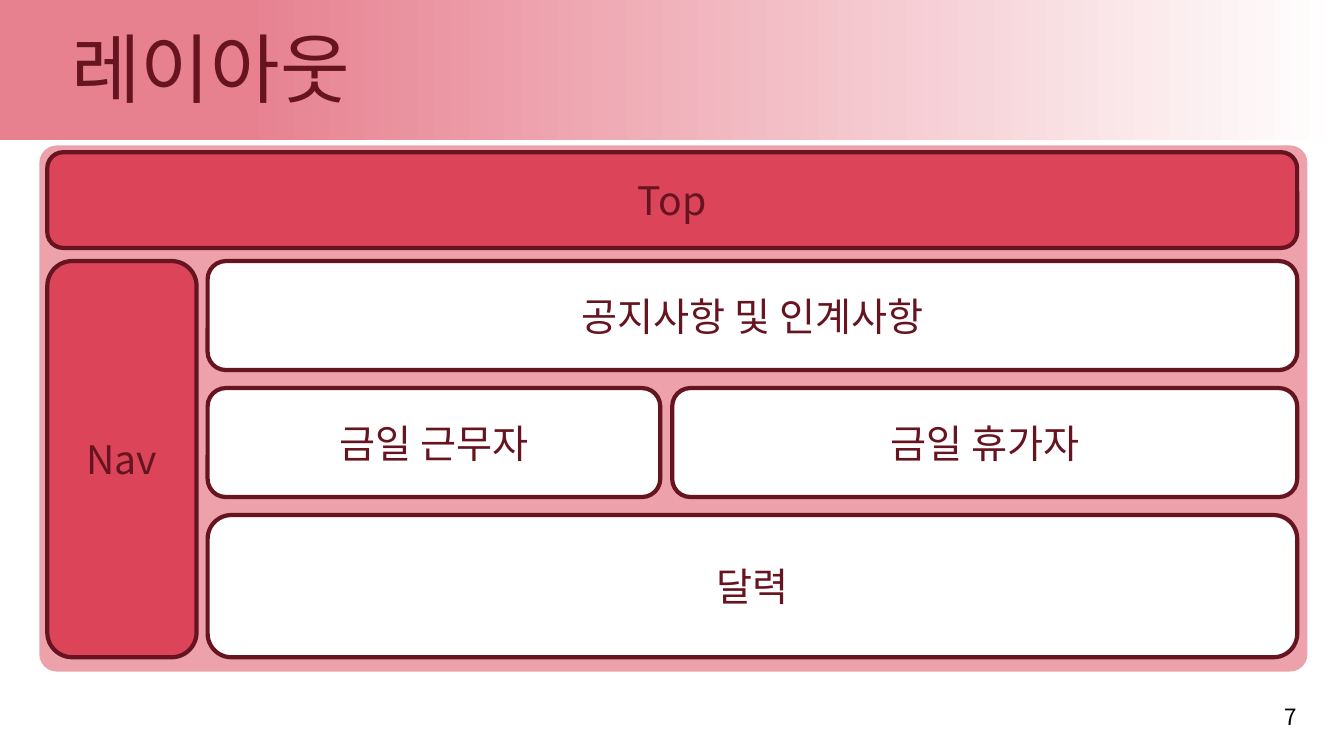
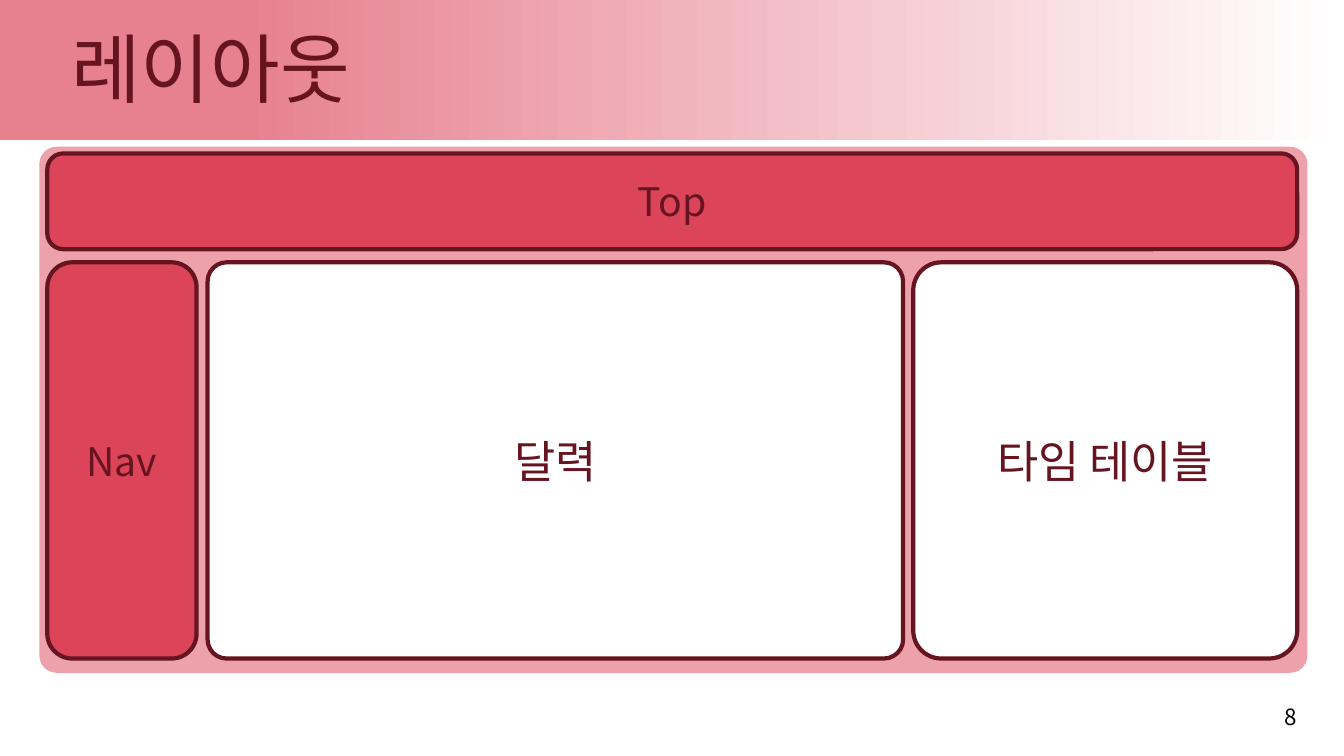
from dataclasses import dataclass

from lxml import etree
from pptx import Presentation
from pptx.dml.color import RGBColor
from pptx.enum.shapes import MSO_SHAPE
from pptx.enum.text import MSO_ANCHOR, MSO_AUTO_SIZE, PP_ALIGN
from pptx.oxml.ns import qn
from pptx.util import Pt

RECTANGLE = MSO_SHAPE.RECTANGLE
ROUNDED = MSO_SHAPE.ROUNDED_RECTANGLE
LEFT, CENTER, RIGHT = PP_ALIGN.LEFT, PP_ALIGN.CENTER, PP_ALIGN.RIGHT
TOP, MIDDLE = MSO_ANCHOR.TOP, MSO_ANCHOR.MIDDLE
FIT_SHAPE = MSO_AUTO_SIZE.SHAPE_TO_FIT_TEXT

WIDTH, HEIGHT = 960, 540
BAND_HEIGHT = 100
FRAME_LEFT, FRAME_RIGHT = 33.8, 926.6
HEADER_TOP, HEADER_HEIGHT = 108.7, 68.4
NAV_WIDTH = 106.6
BODY_LEFT, BODY_TOP, BODY_HEIGHT = 148.3, 186.5, 283
ROW_HEIGHT, ROW_GAP = 77.8, 12.9


@dataclass(frozen=True)
class Theme:
    font: str = "Noto Sans CJK KR"
    ink: RGBColor = RGBColor(0x66, 0x14, 0x20)
    accent: RGBColor = RGBColor(0xDC, 0x44, 0x5A)
    panel: RGBColor = RGBColor(0xED, 0xA1, 0xAB)
    band: RGBColor = RGBColor(0xE7, 0x81, 0x90)
    white: RGBColor = RGBColor(0xFF, 0xFF, 0xFF)
    black: RGBColor = RGBColor(0, 0, 0)
    title_size: int = 54
    large_size: int = 32
    label_size: int = 28
    number_size: int = 16
    border: int = 3


class Deck:
    """Draws screen-layout slides in one shared style."""

    def __init__(self, theme):
        self.theme = theme
        self.presentation = Presentation()
        self.presentation.slide_width = Pt(WIDTH)
        self.presentation.slide_height = Pt(HEIGHT)
        self.layout = self.presentation.slide_layouts[6]
        self.slide = None
        self.group = None
        self.shift = 0

    def start_slide(self, title, number, shift=0):
        theme = self.theme
        first = self.slide is None
        self.slide = self.presentation.slides.add_slide(self.layout)
        self.shift = shift
        if first:
            self.add_band()
        self.add_text(title, 43.9, 12.2, 651.6, 72.7, theme.title_size,
                      theme.ink, LEFT, TOP).auto_size = FIT_SHAPE
        self.add_text(str(number), 717.8, 497.5, 216, 28.8,
                      theme.number_size, theme.black, RIGHT, MIDDLE)
        self.add_frame()

    def add_band(self):
        band = self.slide.shapes.add_shape(
            RECTANGLE, 0, 0, Pt(WIDTH), Pt(BAND_HEIGHT))
        band.shadow.inherit = False
        band.line.fill.background()
        band.fill.gradient()
        band.fill.gradient_angle = 0
        stops = ((0.18, self.theme.band), (1, self.theme.white))
        for stop, (position, color) in zip(band.fill.gradient_stops, stops):
            stop.position = position
            stop.color.rgb = color
        self.layout.shapes.element.append(band.element)

    def add_frame(self):
        theme = self.theme
        self.group = self.slide.shapes.add_group_shape()
        panel = self.add_rounded(28.1, 103.9, 905.8, 375.8, theme.panel, 0.033)
        panel.line.fill.background()
        self.add_block("Top", FRAME_LEFT, FRAME_RIGHT, HEADER_TOP,
                       HEADER_HEIGHT, theme.accent)
        self.add_block("Nav", FRAME_LEFT, FRAME_LEFT + NAV_WIDTH, BODY_TOP,
                       BODY_HEIGHT, theme.accent)

    def add_rounded(self, left, top, width, height, color, rounding=None):
        shape = self.group.shapes.add_shape(
            ROUNDED, Pt(left), Pt(top + self.shift), Pt(width), Pt(height))
        shape.shadow.inherit = False
        shape.fill.solid()
        shape.fill.fore_color.rgb = color
        if rounding is not None:
            shape.adjustments[0] = rounding
        return shape

    def add_block(self, text, left, right, top, height, color=None,
                  size=None, rounding=None):
        theme = self.theme
        shape = self.add_rounded(left, top, right - left, height,
                                 color or theme.white, rounding)
        shape.line.color.rgb = theme.ink
        shape.line.width = Pt(theme.border)
        self.set_text(shape.text_frame, text, size or theme.label_size,
                      theme.ink, CENTER, MIDDLE)

    def add_text(self, text, left, top, width, height, size, color,
                 alignment, anchor):
        box = self.slide.shapes.add_textbox(
            Pt(left), Pt(top), Pt(width), Pt(height))
        self.set_text(box.text_frame, text, size, color, alignment, anchor)
        return box.text_frame

    def set_text(self, text_frame, text, size, color, alignment, anchor):
        text_frame.text = text
        text_frame.word_wrap = True
        text_frame.vertical_anchor = anchor
        paragraph = text_frame.paragraphs[0]
        paragraph.alignment = alignment
        for run in paragraph.runs:
            run.font.size = Pt(size)
            run.font.color.rgb = color
            run.font.name = self.theme.font
            properties = run._r.get_or_add_rPr()
            east_asian = etree.SubElement(properties, qn("a:ea"))
            east_asian.set("typeface", self.theme.font)


def build_main_screen(deck):
    deck.start_slide("레이아웃", 7)
    row_tops = [BODY_TOP + row * (ROW_HEIGHT + ROW_GAP) for row in range(3)]
    calendar_height = BODY_TOP + BODY_HEIGHT - row_tops[2]
    blocks = (
        ("공지사항 및 인계사항", BODY_LEFT, FRAME_RIGHT, row_tops[0], ROW_HEIGHT),
        ("달력", BODY_LEFT, FRAME_RIGHT, row_tops[2], calendar_height),
        ("금일 근무자", BODY_LEFT, 471.6, row_tops[1], ROW_HEIGHT),
        ("금일 휴가자", 480.2, FRAME_RIGHT, row_tops[1], ROW_HEIGHT),
    )
    for block in blocks:
        deck.add_block(*block)


def build_calendar_screen(deck):
    deck.start_slide("레이아웃", 8, shift=0.9)
    columns = (
        ("달력", BODY_LEFT, 645.1, 0.048),
        ("타임 테이블", 652.3, FRAME_RIGHT, 0.073),
    )
    for text, left, right, rounding in columns:
        deck.add_block(text, left, right, BODY_TOP, BODY_HEIGHT,
                       size=deck.theme.large_size, rounding=rounding)


def main():
    deck = Deck(Theme())
    build_main_screen(deck)
    build_calendar_screen(deck)
    deck.presentation.save("out.pptx")


if __name__ == "__main__":
    main()
